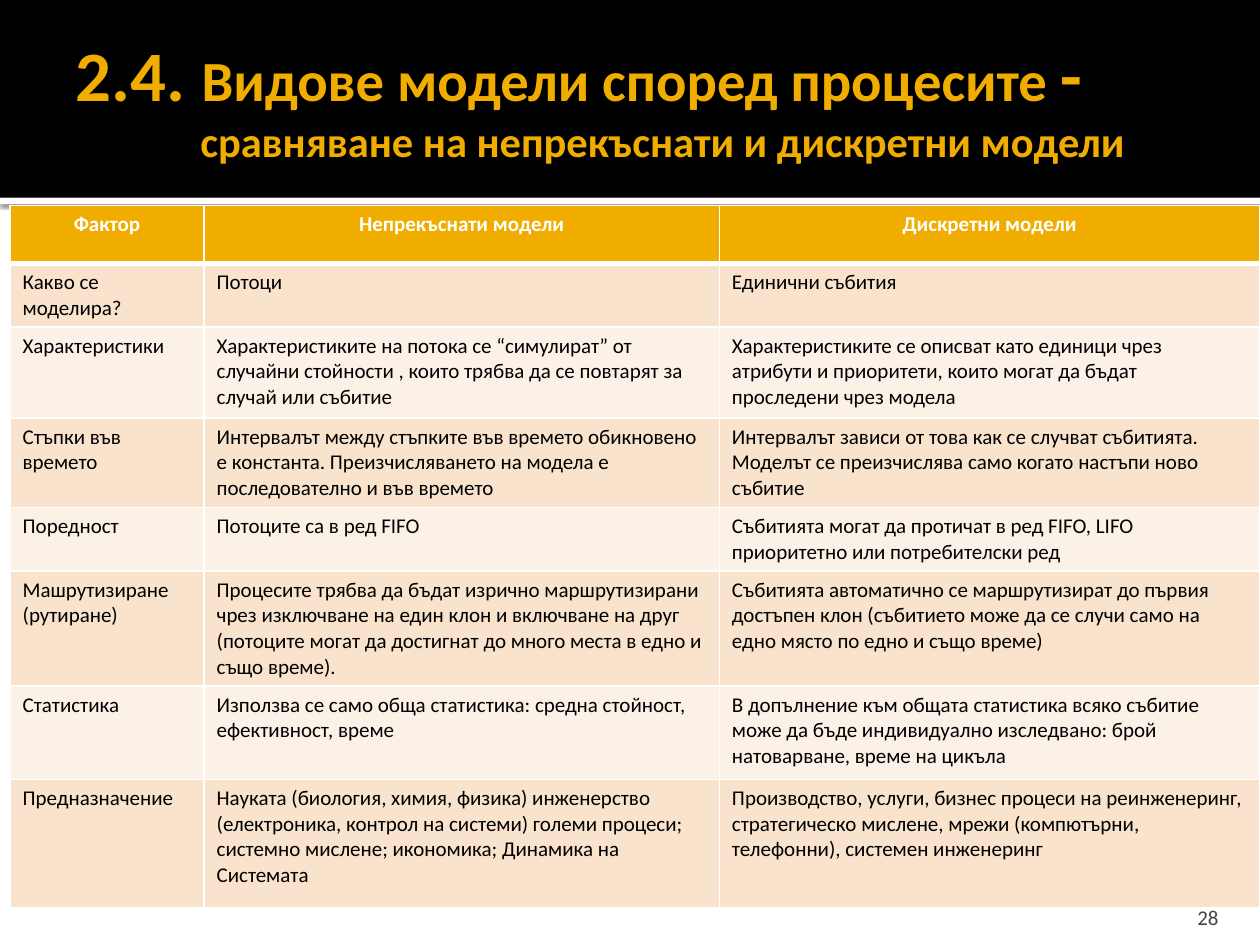
from lxml import etree
from pptx import Presentation
from pptx.dml.color import RGBColor
from pptx.enum.shapes import MSO_SHAPE
from pptx.enum.text import MSO_ANCHOR, MSO_AUTO_SIZE, PP_ALIGN
from pptx.oxml import parse_xml
from pptx.oxml.ns import nsdecls, qn
from pptx.util import Emu, Inches, Pt

RECT = MSO_SHAPE.RECTANGLE
MIDDLE, BOTTOM = MSO_ANCHOR.MIDDLE, MSO_ANCHOR.BOTTOM
CENTER, LEFT, RIGHT = PP_ALIGN.CENTER, PP_ALIGN.LEFT, PP_ALIGN.RIGHT

FONT = "Calibri"
GOLD, WHITE, BLACK, GREY = "F0AD00", "FFFFFF", "000000", "454545"
BANDS = "F9E3CC", "FCF1E7"

TITLE = [
    ("2.4. ", 40.5),
    ("Видове модели според процесите ", 32.4),
    ("- ", 40.5),
    ("сравняване на непрекъснати и дискретни модели", 24.3),
]
NUMBER = "28"
ROWS = [
    ("Фактор", "Непрекъснати модели", "Дискретни модели"),
    ("Какво се моделира?", "Потоци", "Единични събития"),
    ("Характеристики",
     "Характеристиките на потока се “симулират” от случайни стойности , "
     "които трябва да се повтарят за случай или събитие",
     "Характеристиките се описват като единици чрез атрибути и приоритети, "
     "които могат да бъдат проследени чрез модела"),
    ("Стъпки във времето",
     "Интервалът между стъпките във времето обикновено е константа. "
     "Преизчисляването на модела е последователно и във времето",
     "Интервалът зависи от това как се случват събитията. "
     "Моделът се преизчислява само когато настъпи ново събитие"),
    ("Поредност", "Потоците са в ред FIFO",
     "Събитията могат да протичат в ред FIFO, LIFO приоритетно "
     "или потребителски ред"),
    ("Машрутизиране (рутиране)",
     "Процесите трябва да бъдат изрично маршрутизирани чрез изключване на "
     "един клон и включване на друг (потоците могат да достигнат до много "
     "места в едно и също време).",
     "Събитията автоматично се маршрутизират до първия достъпен клон "
     "(събитието може да се случи само на едно място по едно и също време)"),
    ("Статистика",
     "Използва се само обща статистика: средна стойност, ефективност, време",
     "В допълнение към общата статистика всяко събитие може да бъде "
     "индивидуално изследвано: брой натоварване, време на цикъла"),
    ("Предназначение",
     "Науката (биология, химия, физика) инженерство (електроника, контрол на "
     "системи) големи процеси; системно мислене; икономика; Динамика на "
     "Системата",
     "Производство, услуги, бизнес процеси на реинженеринг, стратегическо "
     "мислене, мрежи (компютърни, телефонни), системен инженеринг"),
]
WIDTHS = [1.54, 4.09, 4.29]
HEIGHTS = [0.46, 0.46, 0.72, 0.71, 0.48, 0.85, 0.74, 1.02]
HEAD = 1.57


def color(code):
    return RGBColor.from_string(code)


def box(*sizes):
    return [Inches(size) for size in sizes]


def style(font, size, code, bold=False):
    font.name, font.size, font.bold = FONT, Pt(size), bold
    font.color.rgb = color(code)


def inset(frame, *sides):
    (frame.margin_left, frame.margin_top,
     frame.margin_right, frame.margin_bottom) = box(*sides)


def bar(slide, top, height, code):
    shape = slide.shapes.add_shape(RECT, *box(0, top, 10, height))
    shape.shadow.inherit = False
    shape.fill.solid()
    shape.fill.fore_color.rgb = color(code)
    shape.line.fill.background()
    return shape


def shade(shape):
    """Give the shape a soft shadow straight below it."""
    effects = shape.element.spPr.find(qn("a:effectLst"))
    effects.append(parse_xml(
        f'<a:outerShdw {nsdecls("a")} blurRad="{Pt(2.5)}" dist="{Pt(0.8)}" '
        f'dir="5400000" rotWithShape="0"><a:srgbClr val="{BLACK}">'
        '<a:alpha val="60000"/></a:srgbClr></a:outerShdw>'))


def edge(cell, **widths):
    """Draw white cell borders; widths are points by side: L, R, T, B."""
    props = cell._tc.get_or_add_tcPr()
    for spot, (side, width) in enumerate(widths.items()):
        line = etree.Element(qn(f"a:ln{side}"), w=str(Pt(width)))
        fill = etree.SubElement(line, qn("a:solidFill"))
        etree.SubElement(fill, qn("a:srgbClr"), val=WHITE)
        props.insert(spot, line)


def add_title(slide):
    title = slide.shapes.title
    title.left, title.top, title.width, title.height = box(0.5, 0.17, 9, 1.22)
    slide.shapes._spTree.append(title.element)  # in front of the bars
    frame = title.text_frame
    frame.word_wrap, frame.auto_size = True, MSO_AUTO_SIZE.NONE
    frame.vertical_anchor = MIDDLE
    inset(frame, 0.1, 0.05, 0.05, 0.05)
    para = frame.paragraphs[0]
    para.alignment, para.line_spacing = LEFT, 1.0
    para.space_before = Pt(0)
    hang = Inches(0.99)
    props = para._p.get_or_add_pPr()
    props.set("marL", str(hang))
    props.set("indent", str(-hang))
    for text, size in TITLE:
        run = para.add_run()
        run.text = text
        style(run.font, size, GOLD, True)


def add_grid(slide):
    frame = slide.shapes.add_table(
        len(ROWS), len(WIDTHS),
        *box(0.08, 1.63, sum(WIDTHS), sum(HEIGHTS)))
    table = frame.table
    for col, width in zip(table.columns, WIDTHS):
        col.width = Inches(width)
    for row, height in zip(table.rows, HEIGHTS):
        row.height = Inches(height)
    for r, texts in enumerate(ROWS):
        head = r == 0
        for c, text in enumerate(texts):
            cell = table.cell(r, c)
            cell.text = text
            cell.fill.solid()
            cell.fill.fore_color.rgb = color(GOLD if head else BANDS[(r - 1) % 2])
            edge(cell, L=1, R=1, T=3 if r == 1 else 1, B=3 if head else 1)
            para = cell.text_frame.paragraphs[0]
            para.alignment = CENTER if head else LEFT
            style(para.font, 12, WHITE if head else BLACK, head)


def add_number(slide):
    frame = slide.shapes.add_textbox(*box(8.97, 7.08, 0.8, 0.3)).text_frame
    frame.word_wrap, frame.vertical_anchor = True, BOTTOM
    inset(frame, 0.1, 0.05, 0.1, 0)
    para = frame.paragraphs[0]
    para.text, para.alignment = NUMBER, RIGHT
    style(para.font, 12, GREY)


def main():
    deck = Presentation()
    deck.slide_width, deck.slide_height = Emu(Inches(10)), Emu(Inches(7.5))
    slide = deck.slides.add_slide(deck.slide_layouts[5])
    shade(bar(slide, HEAD, 0.05, WHITE))
    bar(slide, 0, HEAD, BLACK)
    add_title(slide)
    add_grid(slide)
    add_number(slide)
    deck.save("out.pptx")


if __name__ == "__main__":
    main()
